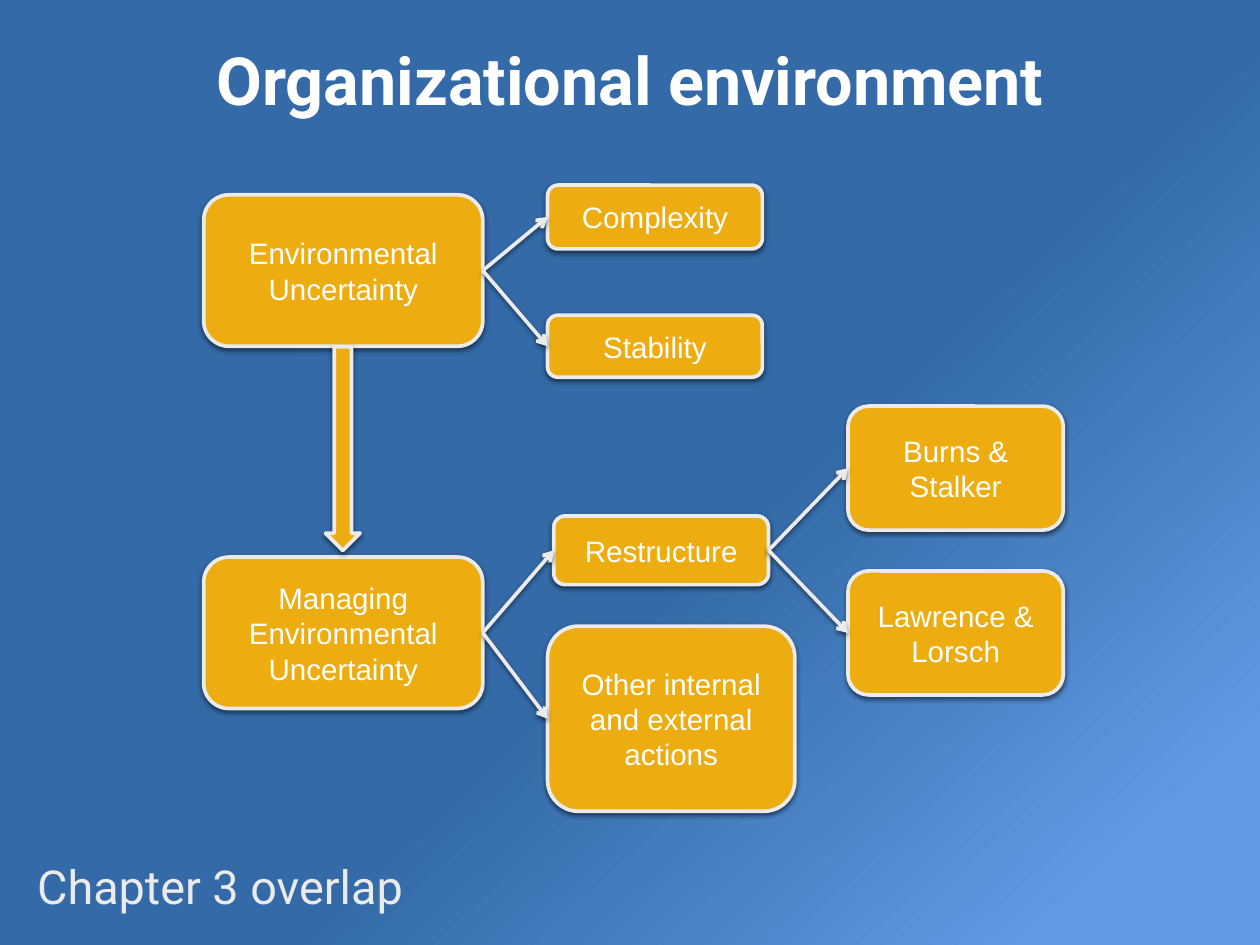
"""Draw the organizational environment diagram on one slide."""
from dataclasses import dataclass

from pptx import Presentation
from pptx.dml.color import RGBColor
from pptx.enum.shapes import MSO_CONNECTOR, MSO_SHAPE
from pptx.enum.text import MSO_ANCHOR, PP_ALIGN
from pptx.oxml import parse_xml
from pptx.oxml.ns import nsdecls
from pptx.shapes.autoshape import Shape
from pptx.shapes.connector import Connector
from pptx.slide import Slide
from pptx.util import Inches, Pt

WIDTH, HEIGHT = Inches(14.22), Inches(10.67)
COLUMN, ROW = WIDTH / 100, HEIGHT / 100
DEEP_BLUE = RGBColor(0x33, 0x6A, 0xA7)
LIGHT_BLUE = RGBColor(0x61, 0x9A, 0xE3)
GOLD = RGBColor(0xED, 0xAC, 0x0F)
PALE = RGBColor(0xEB, 0xEB, 0xEB)
WHITE = RGBColor(0xFF, 0xFF, 0xFF)
LEFT_SITE, RIGHT_SITE = 1, 3
SHADOW = (
    f'<a:effectLst {nsdecls("a")}>'
    '<a:outerShdw blurRad="50800" dist="25400" dir="5400000" rotWithShape="0">'
    '<a:srgbClr val="000000"><a:alpha val="50000"/></a:srgbClr>'
    '</a:outerShdw></a:effectLst>'
)
ARROWHEAD = f'<a:tailEnd {nsdecls("a")} type="arrow"/>'


@dataclass(frozen=True)
class Area:
    """A rectangle in columns and rows, each a hundredth of the slide."""
    column: float
    row: float
    columns: float
    rows: float

    def lengths(self) -> tuple[int, int, int, int]:
        """Return left, top, width and height."""
        return (round(self.column * COLUMN), round(self.row * ROW),
                round(self.columns * COLUMN), round(self.rows * ROW))


@dataclass(frozen=True)
class Caption:
    """A line of free text."""
    text: str
    area: Area
    size: int
    color: RGBColor
    bold: bool


CONCEPTS = {
    "Environmental Uncertainty": Area(16.17, 20.62, 22.15, 16.03),
    "Complexity": Area(43.46, 19.59, 17.05, 6.75),
    "Stability": Area(43.46, 33.36, 17.05, 6.56),
    "Managing Environmental Uncertainty": Area(16.17, 58.95, 22.15, 16.03),
    "Restructure": Area(43.95, 54.6, 17.05, 7.27),
    "Burns & Stalker": Area(67.3, 42.98, 17.09, 13.12),
    "Lawrence & Lorsch": Area(67.3, 60.42, 17.09, 13.12),
    "Other internal and external actions": Area(43.46, 66.26, 19.62, 19.59),
}
BRANCHES = {
    "Environmental Uncertainty": ("Complexity", "Stability"),
    "Managing Environmental Uncertainty": (
        "Restructure", "Other internal and external actions"),
    "Restructure": ("Burns & Stalker", "Lawrence & Lorsch"),
}
DOWN_ARROW = Area(25.84, 36.69, 2.74, 21.56)
CAPTIONS = (
    Caption("Organizational environment", Area(5.84, 1.31, 88.33, 14.06),
            54, WHITE, True),
    Caption("Chapter 3 overlap", Area(1.69, 90.25, 31.58, 7.03),
            38, PALE, False),
)


def outline(item: Shape | Connector) -> None:
    """Give an item the pale outline and the soft shadow."""
    item.line.color.rgb = PALE
    item.line.width = Pt(3)
    item.element.spPr.append(parse_xml(SHADOW))


def add_gold_shape(page: Slide, kind: MSO_SHAPE, area: Area) -> Shape:
    """Add a gold preset shape."""
    shape = page.shapes.add_shape(kind, *area.lengths())
    shape.fill.solid()
    shape.fill.fore_color.rgb = GOLD
    outline(shape)
    return shape


def add_concept(page: Slide, text: str, area: Area) -> Shape:
    """Add a rounded box with a centred label."""
    box = add_gold_shape(page, MSO_SHAPE.ROUNDED_RECTANGLE, area)
    frame = box.text_frame
    frame.word_wrap = True
    frame.vertical_anchor = MSO_ANCHOR.MIDDLE
    para = frame.paragraphs[0]
    para.text = text
    para.alignment = PP_ALIGN.CENTER
    para.font.name = "Arial"
    para.font.size = Pt(24)
    para.font.color.rgb = WHITE
    return box


def add_branch(page: Slide, source: Shape, target: Shape) -> None:
    """Add an arrow from the right of one box to the left of another."""
    branch = page.shapes.add_connector(MSO_CONNECTOR.STRAIGHT, 0, 0, 0, 0)
    branch.begin_connect(source, RIGHT_SITE)
    branch.end_connect(target, LEFT_SITE)
    outline(branch)
    branch.line._get_or_add_ln().append(parse_xml(ARROWHEAD))


def add_caption(page: Slide, caption: Caption) -> None:
    """Add a centred line of free text."""
    box = page.shapes.add_textbox(*caption.area.lengths())
    frame = box.text_frame
    frame.word_wrap = True
    frame.vertical_anchor = MSO_ANCHOR.MIDDLE
    frame.margin_left = frame.margin_right = Inches(0.06)
    frame.margin_top = frame.margin_bottom = Inches(0.06)
    para = frame.paragraphs[0]
    para.text = caption.text
    para.alignment = PP_ALIGN.CENTER
    para.font.name = "Roboto"
    para.font.size = Pt(caption.size)
    para.font.bold = caption.bold
    para.font.color.rgb = caption.color


def paint_background(page: Slide) -> None:
    """Fill the background with a diagonal blue gradient."""
    fill = page.background.fill
    fill.gradient()
    fill.gradient_angle = 360 - 47
    colors = ((0.57, DEEP_BLUE), (0.9, LIGHT_BLUE))
    for stop, (position, color) in zip(fill.gradient_stops, colors):
        stop.position = position
        stop.color.rgb = color


def main() -> None:
    """Build and save the deck."""
    deck = Presentation()
    deck.slide_width, deck.slide_height = WIDTH, HEIGHT
    page = deck.slides.add_slide(deck.slide_layouts[6])
    paint_background(page)
    boxes = {text: add_concept(page, text, area)
             for text, area in CONCEPTS.items()}
    for source, targets in BRANCHES.items():
        for target in targets:
            add_branch(page, boxes[source], boxes[target])
    add_gold_shape(page, MSO_SHAPE.DOWN_ARROW, DOWN_ARROW)
    for caption in CAPTIONS:
        add_caption(page, caption)
    deck.save("out.pptx")


if __name__ == "__main__":
    main()
